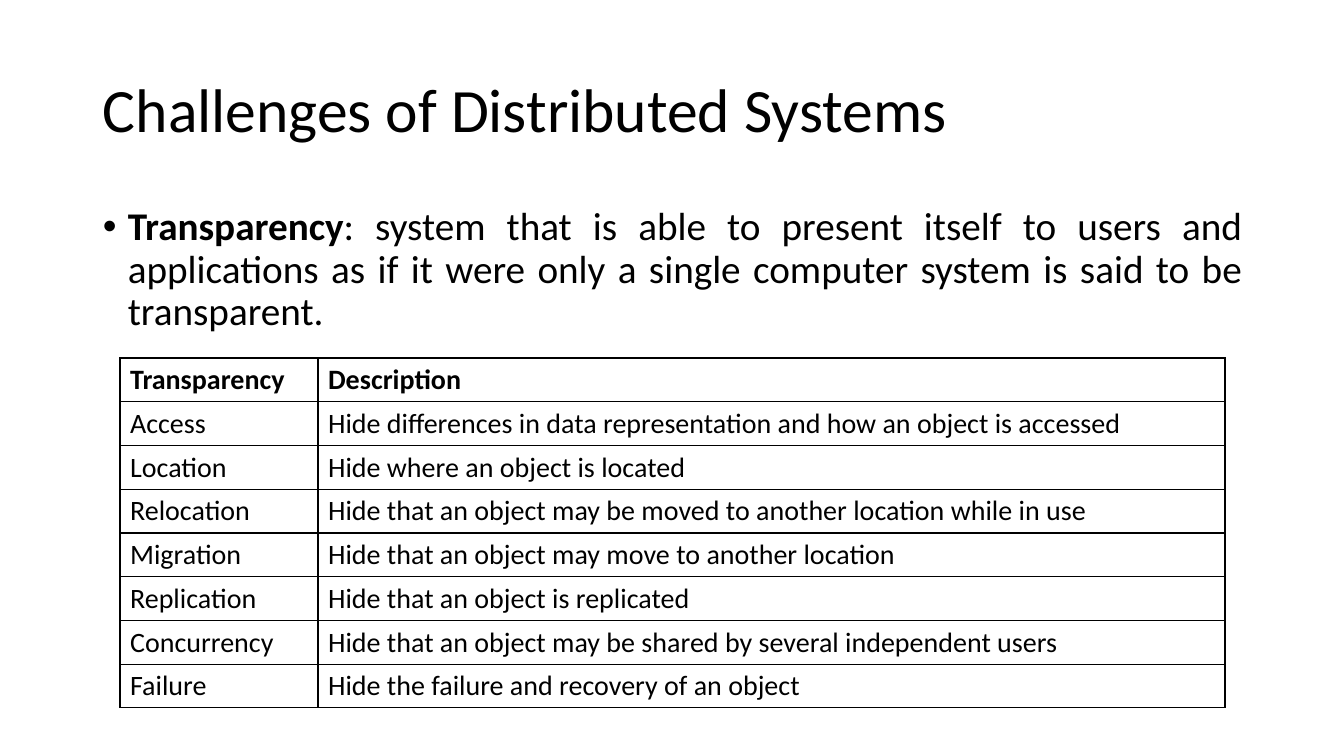
from lxml.etree import SubElement
from pptx import Presentation
from pptx.dml.color import RGBColor
from pptx.enum.text import MSO_ANCHOR, PP_ALIGN
from pptx.oxml.ns import qn
from pptx.util import Pt

BLACK = RGBColor(0, 0, 0)
FONT = "Calibri"
ROWS = [
    ("Transparency", "Description"),
    ("Access", "Hide differences in data representation and how an object is accessed"),
    ("Location", "Hide where an object is located"),
    ("Relocation", "Hide that an object may be moved to another location while in use"),
    ("Migration", "Hide that an object may move to another location"),
    ("Replication", "Hide that an object is replicated"),
    ("Concurrency", "Hide that an object may be shared by several independent users"),
    ("Failure", "Hide the failure and recovery of an object"),
]


def px(n):
    return round(n * 914400 / 100.8)


def add_run(p, text, size, bold=False):
    r = p.add_run()
    r.text = text
    r.font.name = FONT
    r.font.size = Pt(size)
    r.font.bold = bold
    r.font.color.rgb = BLACK


prs = Presentation()
prs.slide_width = px(1344)
prs.slide_height = px(756)
s = prs.slides.add_slide(prs.slide_layouts[6])

title = s.shapes.add_textbox(px(93), px(40), px(1159), px(146))
tf = title.text_frame
tf.word_wrap = True
tf.vertical_anchor = MSO_ANCHOR.MIDDLE
p = tf.paragraphs[0]
p.line_spacing = 0.9
add_run(p, "Challenges of Distributed Systems", 44)

body = s.shapes.add_textbox(px(93), px(202), px(1159), px(480))
tf = body.text_frame
tf.word_wrap = True
p = tf.paragraphs[0]
p.alignment = PP_ALIGN.JUSTIFY
p.line_spacing = 0.9
pPr = p._p.get_or_add_pPr()
pPr.set("marL", str(px(25)))
pPr.set("indent", str(px(-25)))
SubElement(pPr, qn("a:buFont"), typeface="Arial")
SubElement(pPr, qn("a:buChar"), char="•")
add_run(p, "Transparency", 28, True)
add_run(p, ": system that is able to present itself to users and applications "
           "as if it were only a single computer system is said to be transparent.", 28)

frame = s.shapes.add_table(len(ROWS), 2, px(120), px(358), px(1105), px(41 * len(ROWS)))
table = frame.table
for column, width in zip(table.columns, (198, 907)):
    column.width = px(width)
for i, row in enumerate(ROWS):
    for j, text in enumerate(row):
        cell = table.cell(i, j)
        add_run(cell.text_frame.paragraphs[0], text, 20, i == 0)
        tcPr = cell._tc.get_or_add_tcPr()
        for side in ("lnL", "lnR", "lnT", "lnB"):
            ln = SubElement(tcPr, qn(f"a:{side}"), w=str(Pt(1)))
            fill = SubElement(ln, qn("a:solidFill"))
            SubElement(fill, qn("a:srgbClr"), val=str(BLACK))
        cell.fill.background()

prs.save("out.pptx")
